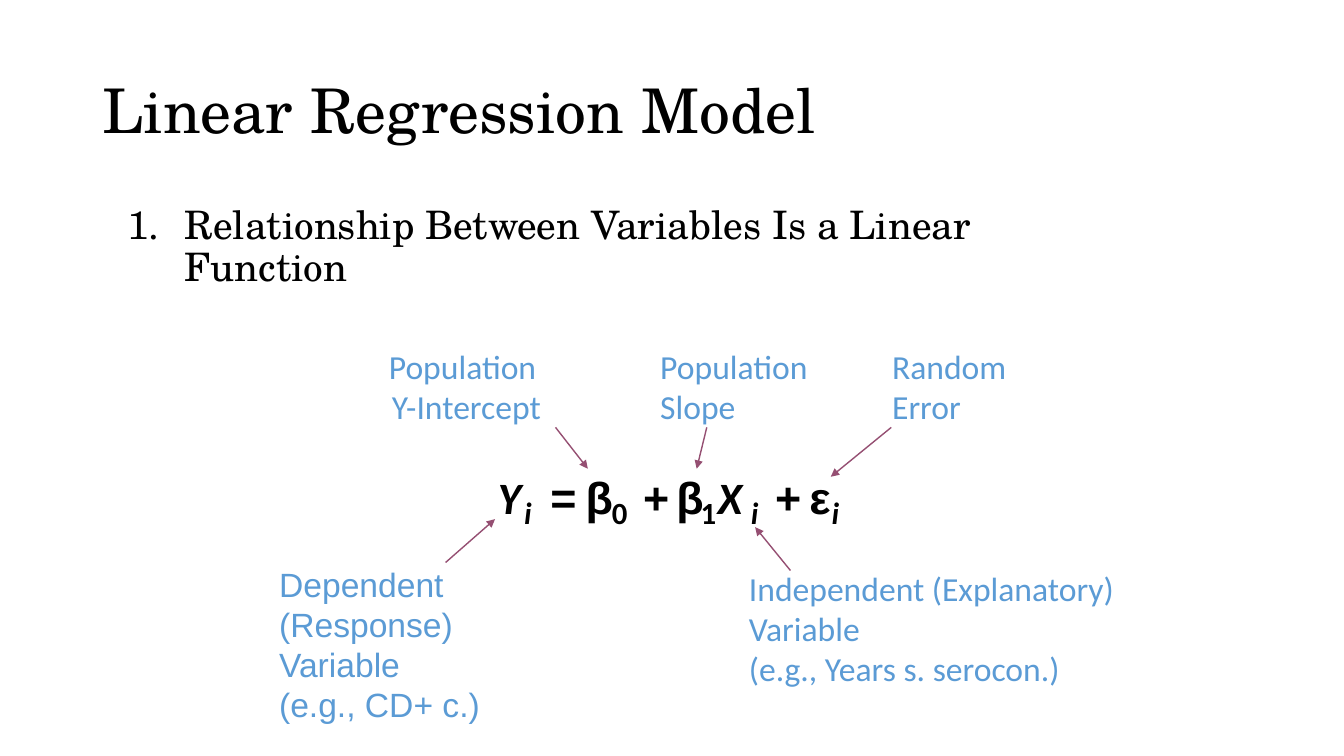
from dataclasses import dataclass

from lxml.etree import SubElement
from pptx import Presentation
from pptx.dml.color import RGBColor
from pptx.enum.shapes import MSO_CONNECTOR
from pptx.enum.text import MSO_ANCHOR, PP_ALIGN
from pptx.oxml.ns import qn
from pptx.slide import Slide
from pptx.text.text import _Paragraph
from pptx.util import Inches, Pt

COLORS = {"ink": "000000", "label": "5B9BD5", "arrow": "954F72"}
SERIF = "TeX Gyre Schola"


@dataclass
class Text:
    words: str
    left: float
    top: float
    width: float
    height: float
    size: int
    font: str = "Calibri"
    color: str = "ink"
    bold: bool = False
    italic: bool = False
    wrap: bool = True
    align: PP_ALIGN = PP_ALIGN.LEFT
    anchor: MSO_ANCHOR = MSO_ANCHOR.TOP
    line: float = 1.0


@dataclass
class Arrow:
    x1: float
    y1: float
    x2: float
    y2: float


def term(words: str, left: float, width: float, font: str = "Arial",
         italic: bool = False) -> Text:
    """Full-size symbol of the equation."""
    return Text(words, left, 4.61, width, 0.64, 32, font,
                bold=True, italic=italic, wrap=False)


def index(words: str, left: float, width: float, italic: bool = False) -> Text:
    """Subscript of the equation."""
    return Text(words, left, 4.85, width, 0.47, 22,
                bold=True, italic=italic, wrap=False)


def label(words: str, left: float, top: float, width: float, height: float,
          font: str = "Calibri", align: PP_ALIGN = PP_ALIGN.LEFT) -> Text:
    return Text(words, left, top, width, height, 24, font, "label", align=align)


TITLE = Text("Linear Regression Model", 0.92, 0.4, 11.5, 1.45, 44, SERIF,
             anchor=MSO_ANCHOR.MIDDLE, line=0.9)
POINT = Text("Relationship Between Variables Is a Linear Function",
             1.17, 1.99, 9.92, 4.61, 28, SERIF, line=0.9)

MODEL = [
    term("Y", 4.84, 0.5, "Calibri", True),
    term("X", 7.02, 0.5, "Calibri", True),
    *[index("i", left, 0.29, True) for left in (5.1, 7.35, 8.15)],
    term("=", 5.36, 0.45),
    *[term("+", left, 0.45) for left in (6.28, 7.59)],
    *[term("β", left, 0.45) for left in (5.71, 6.61)],
    term("ε", 7.93, 0.4),
    index("0", 5.97, 0.37),
    index("1", 6.85, 0.37),
]

LABELS = [
    label("Dependent (Response) Variable\v(e.g., CD+ c.)",
          2.67, 5.54, 2.41, 1.71, "Arial"),
    label("Independent (Explanatory) Variable \v(e.g., Years s. serocon.)",
          7.33, 5.58, 4.08, 1.31),
    label("Population Slope", 6.45, 3.38, 1.97, 0.91),
    label("Population \vY-Intercept", 3.42, 3.38, 2.41, 0.91,
          align=PP_ALIGN.CENTER),
    label("Random Error", 8.75, 3.38, 1.74, 0.91),
]

ARROWS = [
    Arrow(4.42, 5.58, 4.91, 5.15),
    Arrow(7.84, 5.66, 7.49, 5.23),
    Arrow(5.51, 4.24, 5.83, 4.65),
    Arrow(7.01, 4.24, 6.91, 4.65),
    Arrow(8.84, 4.24, 8.24, 4.73),
]


def add_text(slide: Slide, item: Text) -> _Paragraph:
    box = slide.shapes.add_textbox(Inches(item.left), Inches(item.top),
                                   Inches(item.width), Inches(item.height))
    frame = box.text_frame
    frame.word_wrap = item.wrap
    frame.vertical_anchor = item.anchor
    para = frame.paragraphs[0]
    para.text = item.words
    para.alignment = item.align
    para.line_spacing = item.line
    font = para.font
    font.name = item.font
    font.size = Pt(item.size)
    font.bold = item.bold
    font.italic = item.italic
    font.color.rgb = RGBColor.from_string(COLORS[item.color])
    return para


def add_number(para: _Paragraph) -> None:
    """Number the paragraph with a hanging indent."""
    props = para._p.get_or_add_pPr()
    props.set("marL", str(Inches(0.56)))
    props.set("indent", str(-Inches(0.56)))
    mark = props.makeelement(qn("a:buAutoNum"), {"type": "arabicPeriod"})
    props.find(qn("a:defRPr")).addprevious(mark)


def add_arrow(slide: Slide, item: Arrow) -> None:
    link = slide.shapes.add_connector(
        MSO_CONNECTOR.STRAIGHT, Inches(item.x1), Inches(item.y1),
        Inches(item.x2), Inches(item.y2))
    link.line.color.rgb = RGBColor.from_string(COLORS["arrow"])
    link.line.width = Pt(1)
    SubElement(link.line._get_or_add_ln(), qn("a:tailEnd"), type="triangle")
    SubElement(link._element.spPr, qn("a:effectLst"))


def main() -> None:
    deck = Presentation()
    deck.slide_width = Inches(13.33)
    deck.slide_height = Inches(7.5)
    slide = deck.slides.add_slide(deck.slide_layouts[6])
    for item in MODEL:
        add_text(slide, item)
    add_text(slide, TITLE)
    add_number(add_text(slide, POINT))
    for item in LABELS:
        add_text(slide, item)
    for item in ARROWS:
        add_arrow(slide, item)
    deck.save("out.pptx")


if __name__ == "__main__":
    main()
